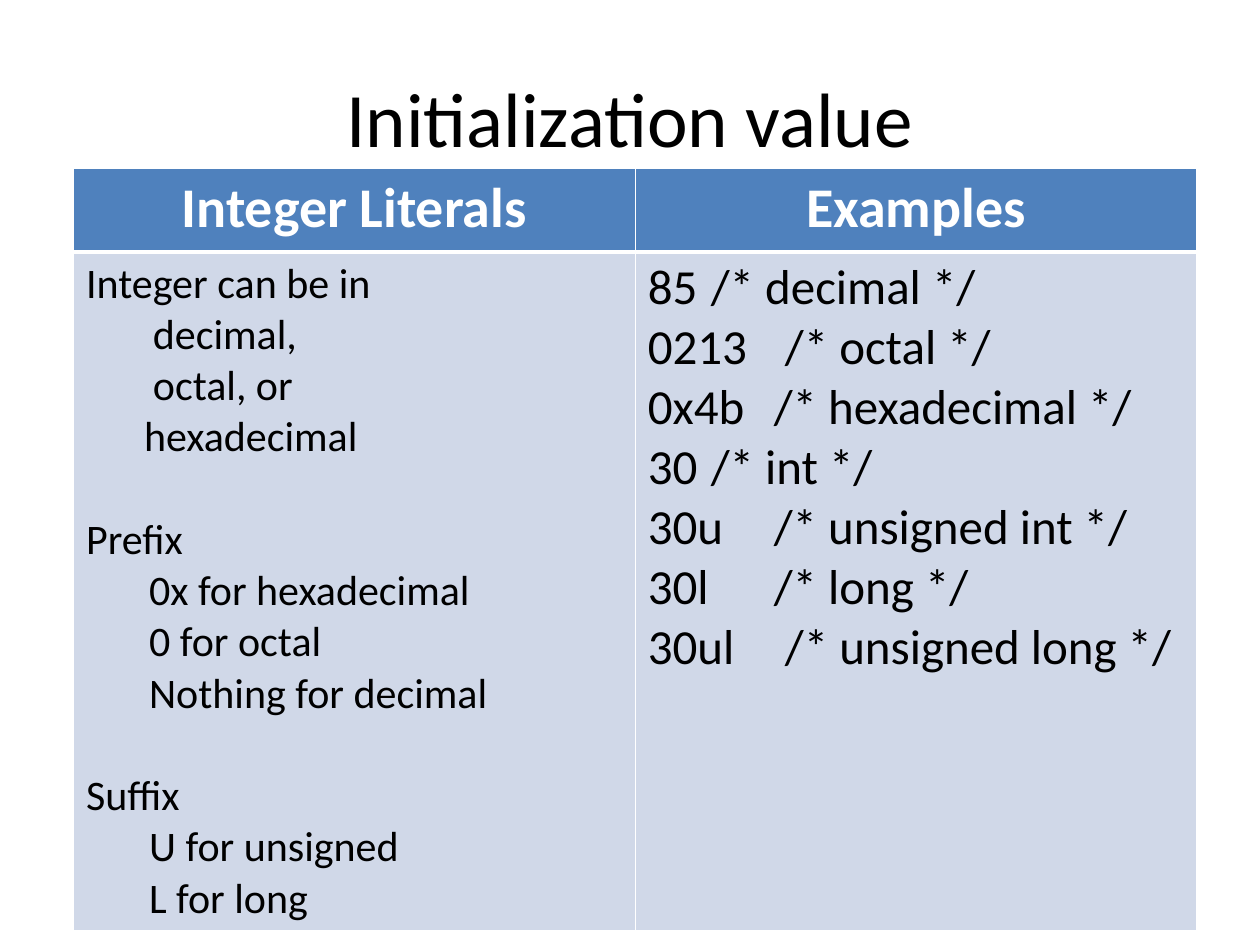
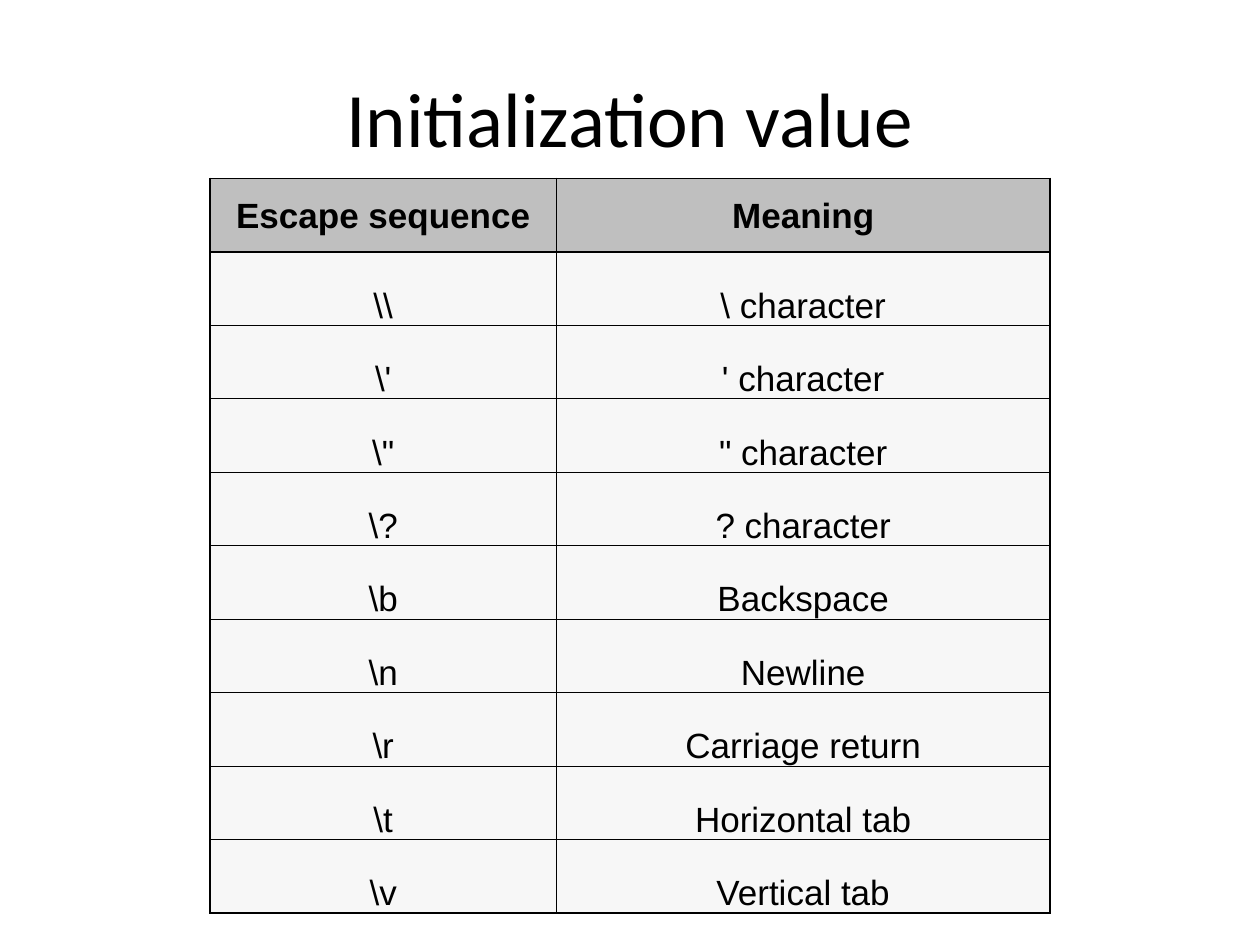
from lxml import etree
from pptx import Presentation
from pptx.dml.color import RGBColor
from pptx.enum.text import MSO_ANCHOR, PP_ALIGN
from pptx.oxml.ns import qn
from pptx.util import Inches, Pt

LEFT, MID = PP_ALIGN.LEFT, PP_ALIGN.CENTER
TOP, CENTRE, BOTTOM = MSO_ANCHOR.TOP, MSO_ANCHOR.MIDDLE, MSO_ANCHOR.BOTTOM

HUES = {"ink": "000000", "paper": "FFFFFF", "blue": "4F81BD",
        "pale": "D0D8E8", "grey": "BFBFBF", "mist": "F7F7F7"}
COLS, ROWS = 120, 90
UNIT = Inches(10) // COLS
TITLE = "Initialization value"
GAP = 29.3

RULES = [
    ("Integer can be in ", 0, 0), ("decimal, ", 0.53, 0),
    ("octal, or", 0.53, 0), ("hexadecimal", 0.46, 0),
    ("Prefix ", 0, GAP), ("0x for hexadecimal", 0.5, 0),
    ("0 for octal", 0.5, 0), ("Nothing for decimal", 0.5, 0),
    ("Suffix", 0, GAP), ("U for unsigned", 0.5, 0), ("L for long", 0.5, 0),
]
SAMPLES = [(line, 0, 0) for line in (
    "85 \t/* decimal */ ", "0213\t /* octal */ ", "0x4b \t/* hexadecimal */ ",
    "30 \t/* int */ ", "30u \t/* unsigned int */ ", "30l \t/* long */ ",
    "30ul\t /* unsigned long */")]
ESCAPES = [
    ("Escape sequence", "Meaning"), ("\\\\", "\\ character"),
    ("\\'", "' character"), ('\\"', '" character'), ("\\?", "? character"),
    ("\\b", "Backspace"), ("\\n", "Newline"), ("\\r", "Carriage return"),
    ("\\t", "Horizontal tab"), ("\\v", "Vertical tab"),
]


def tint(name):
    """Return the named colour."""
    return RGBColor.from_string(HUES[name])


def style(para, face, size, hue, bold=False, align=LEFT):
    """Set the font and alignment of a paragraph."""
    para.alignment = align
    font = para.font
    font.name, font.size, font.bold = face, Pt(size), bold
    font.color.rgb = tint(hue)


def edge(cell, hue, sides):
    """Draw cell borders, given widths for left, right, top and bottom."""
    props = cell._tc.get_or_add_tcPr()
    for side, width in zip("LRTB", sides):
        line = etree.SubElement(props, qn("a:ln" + side), w=str(Pt(width)))
        fill = etree.SubElement(line, qn("a:solidFill"))
        etree.SubElement(fill, qn("a:srgbClr"), val=HUES[hue])


def paint(cell, hue):
    """Fill a cell with one colour."""
    cell.fill.solid()
    cell.fill.fore_color.rgb = tint(hue)


def write(cell, lines, *look):
    """Write lines of (text, indent, space before) into a cell."""
    frame = cell.text_frame
    for num, (text, indent, space) in enumerate(lines):
        para = frame.add_paragraph() if num else frame.paragraphs[0]
        para.text = text
        style(para, *look)
        if space:
            para.space_before = Pt(space)
        if indent:
            props = para._p.get_or_add_pPr()
            props.set("marL", str(Inches(indent)))
            props.set("indent", "0")


def grid(slide, left, top, widths, heights):
    """Add a table with its columns and rows sized in grid units."""
    spots = (left, top, sum(widths), sum(heights))
    table = slide.shapes.add_table(len(heights), len(widths),
                                   *(UNIT * spot for spot in spots)).table
    table.horz_banding = False
    for col, width in zip(table.columns, widths):
        col.width = int(UNIT * width)
    for row, height in zip(table.rows, heights):
        row.height = UNIT * height
    return table


def start(deck):
    """Add a slide with the shared title."""
    slide = deck.slides.add_slide(deck.slide_layouts[5])
    slide.shapes.title.text = TITLE
    style(slide.shapes.title.text_frame.paragraphs[0],
          "Calibri", 44, "ink", False, MID)
    return slide


def literals(slide, left, top):
    """Place the table of integer literals and examples."""
    table = grid(slide, left, top, [53.5] * 2, [8, 61])
    parts = (("Integer Literals", RULES, 24), ("Examples", SAMPLES, 28))
    for col, (name, lines, size) in enumerate(parts):
        head, body = table.cell(0, col), table.cell(1, col)
        write(head, [(name, 0, 0)], "Calibri", 32, "paper", True, MID)
        write(body, lines, "Calibri", size, "ink")
        edge(head, "paper", (1, 1, 1, 3))
        edge(body, "paper", (1, 1, 3, 1))
        paint(head, "blue")
        paint(body, "pale")


def escapes(slide, left, top):
    """Place the table of escape sequences."""
    last = len(ESCAPES) - 1
    table = grid(slide, left, top, [33, 47], [7] * len(ESCAPES))
    for row, pair in enumerate(ESCAPES):
        head = row == 0
        for col, text in enumerate(pair):
            cell = table.cell(row, col)
            cell.margin_left = cell.margin_right = Inches(0.01)
            cell.margin_top, cell.margin_bottom = Inches(0.01), 0
            cell.vertical_anchor = CENTRE if head else BOTTOM
            write(cell, [(text, 0, 0)], "Arial", 20, "ink", head, MID)
            thick = (col == 0, col == 1, row < 2, row in (0, last))
            edge(cell, "ink", [1 if side else 0.5 for side in thick])
            paint(cell, "grey" if head else "mist")


def main():
    """Build and save both slides."""
    deck = Presentation()
    deck.slide_width, deck.slide_height = UNIT * COLS, UNIT * ROWS
    literals(start(deck), 7, 16)
    escapes(start(deck), 20, 17)
    deck.save("out.pptx")


main()
